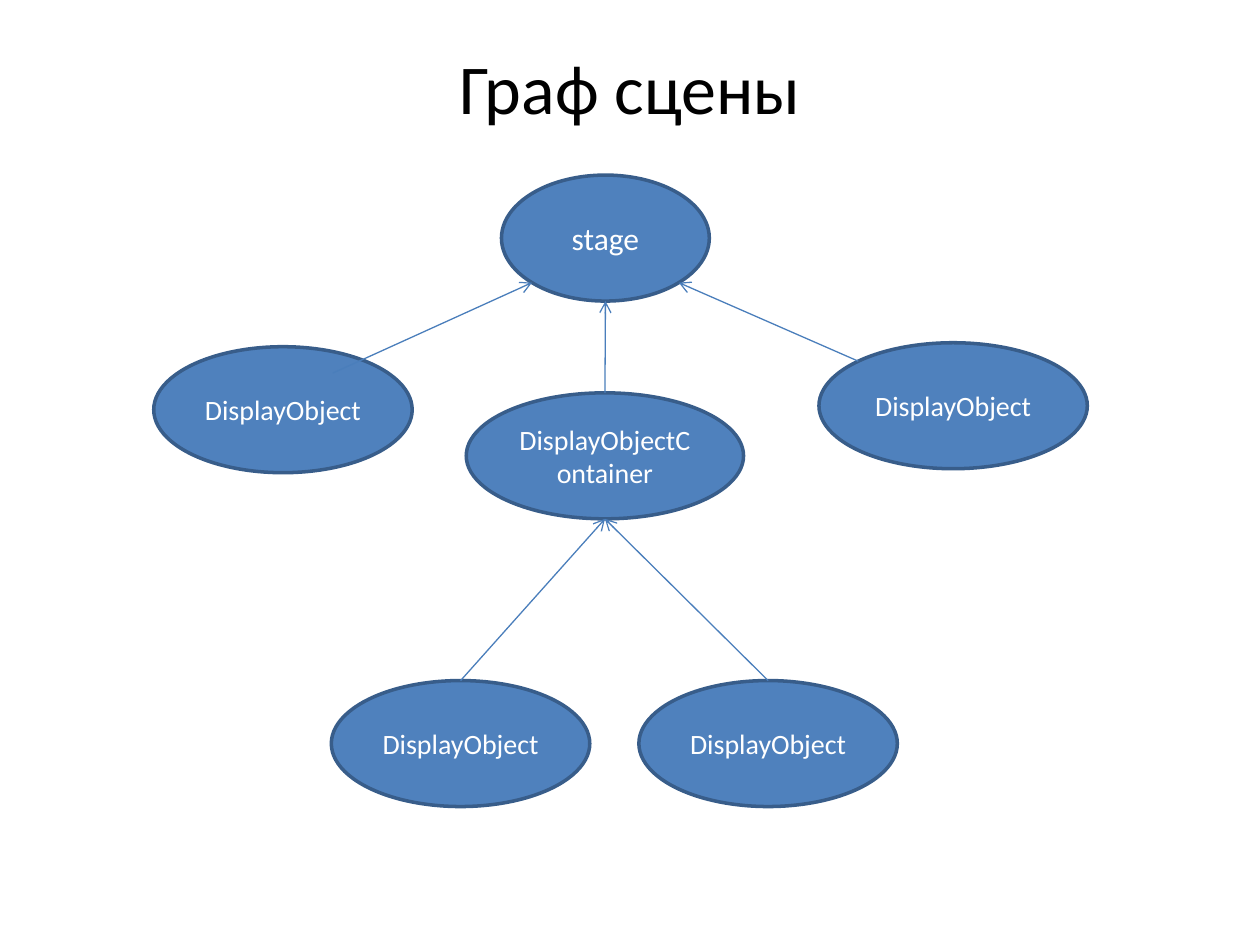
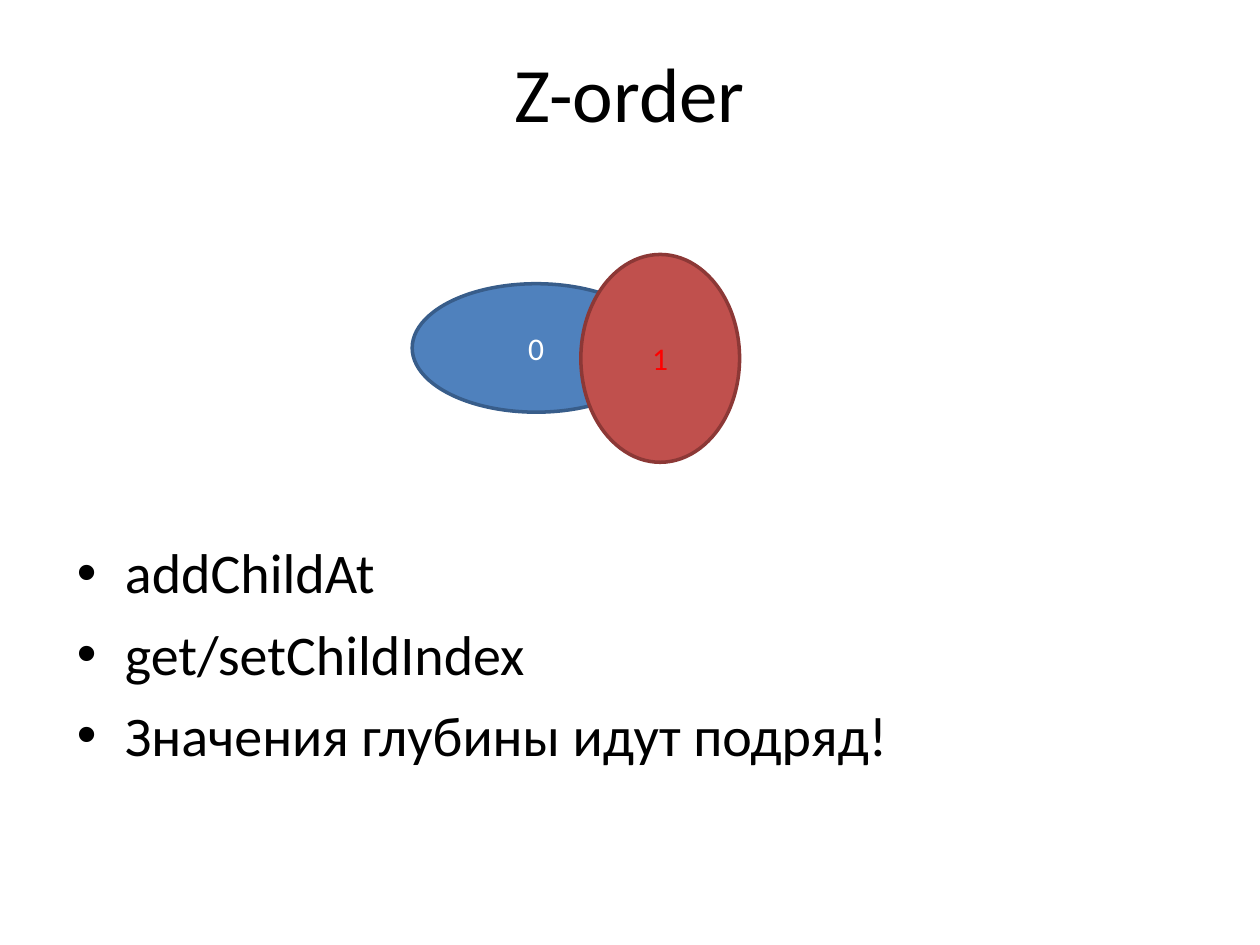
import math

import pptx
import pptx.dml.color
import pptx.enum.shapes
import pptx.enum.text
import pptx.oxml
import pptx.oxml.ns
import pptx.util

Cm = pptx.util.Cm
Pt = pptx.util.Pt

BLACK, WHITE = "000000", "FFFFFF"
BLUE, DARK_BLUE, ARROW_BLUE = "4F81BD", "385D8A", "4A7EBB"
RED, DARK_RED, BRIGHT_RED = "C0504D", "8C3836", "FF0000"
NODE_HEIGHT = 2.54
NODE_WIDTH = 5.21


def color(hex_value):
    return pptx.dml.color.RGBColor.from_string(hex_value)


def add_xml(parent, tag, **attributes):
    child = pptx.oxml.parse_xml(f"<a:{tag} {pptx.oxml.ns.nsdecls('a')}/>")
    for key, value in attributes.items():
        child.set(key, str(value))
    parent.append(child)


def rim(ellipse, degrees):
    """Point on an ellipse's outline, clockwise from its right end."""
    angle = math.radians(degrees)
    x = ellipse.left + ellipse.width / 2 * (1 + math.cos(angle))
    y = ellipse.top + ellipse.height / 2 * (1 + math.sin(angle))
    return round(x), round(y)


class Deck:
    font = "Calibri"
    title_left, title_top, title_width = 1.27, 0.76, 22.86

    def __init__(self):
        self.presentation = pptx.Presentation()
        self.presentation.slide_width = Cm(25.4)
        self.presentation.slide_height = Cm(19.05)
        self.slide = None

    def add_text(self, paragraph, text, size, text_color):
        run = paragraph.add_run()
        run.text = text
        run.font.name = self.font
        run.font.size = Pt(size)
        run.font.color.rgb = color(text_color)

    def add_centred(self, frame, text, size, text_color):
        frame.vertical_anchor = pptx.enum.text.MSO_ANCHOR.MIDDLE
        frame.paragraphs[0].alignment = pptx.enum.text.PP_ALIGN.CENTER
        self.add_text(frame.paragraphs[0], text, size, text_color)

    def start_slide(self, heading, size, height):
        layout = self.presentation.slide_layouts.get_by_name("Title Only")
        self.slide = self.presentation.slides.add_slide(layout)
        title = self.slide.shapes.title
        title.left, title.top = Cm(self.title_left), Cm(self.title_top)
        title.width, title.height = Cm(self.title_width), Cm(height)
        title.text_frame.auto_size = pptx.enum.text.MSO_AUTO_SIZE.NONE
        self.add_centred(title.text_frame, heading, size, BLACK)

    def ellipse(self, label, left, top, width=NODE_WIDTH, height=NODE_HEIGHT,
                size=16, fill=BLUE, outline=DARK_BLUE, text_color=WHITE):
        oval = self.slide.shapes.add_shape(
            pptx.enum.shapes.MSO_SHAPE.OVAL,
            Cm(left), Cm(top), Cm(width), Cm(height))
        oval.shadow.inherit = False
        oval.fill.solid()
        oval.fill.fore_color.rgb = color(fill)
        oval.line.color.rgb = color(outline)
        oval.line.width = Pt(2)
        oval.text_frame.word_wrap = True
        self.add_centred(oval.text_frame, label, size, text_color)
        return oval

    def arrow(self, start, end):
        connector = self.slide.shapes.add_connector(
            pptx.enum.shapes.MSO_CONNECTOR.STRAIGHT, *start, *end)
        connector.line.color.rgb = color(ARROW_BLUE)
        connector.line.width = Pt(0.75)
        properties = connector._element.spPr
        outline = properties.find(pptx.oxml.ns.qn("a:ln"))
        add_xml(outline, "tailEnd", type="arrow")
        add_xml(properties, "effectLst")
        return connector

    def bullets(self, items, left, top, width, height):
        box = self.slide.shapes.add_textbox(
            Cm(left), Cm(top), Cm(width), Cm(height))
        frame = box.text_frame
        frame.word_wrap = True
        for index, item in enumerate(items):
            paragraph = frame.add_paragraph() if index else frame.paragraphs[0]
            paragraph.space_before = Pt(8)
            properties = paragraph._p.get_or_add_pPr()
            properties.set("marL", str(Cm(0.97)))
            properties.set("indent", str(-Cm(0.97)))
            add_xml(properties, "buFont", typeface="Arial")
            add_xml(properties, "buChar", char="•")
            self.add_text(paragraph, item, 32, BLACK)


def scene_graph(deck):
    deck.start_slide("Граф сцены", size=40, height=1.96)
    stage = deck.ellipse("stage", 10.11, 3.53, width=4.19, size=18)
    deck.ellipse("DisplayObject", 3.1, 6.99)
    container = deck.ellipse("DisplayObjectContainer", 9.4, 7.92, width=5.59)
    right_child = deck.ellipse("DisplayObject", 16.51, 6.91, width=5.41)
    grandchildren = [deck.ellipse("DisplayObject", left, 13.72)
                     for left in (6.68, 12.88)]

    deck.arrow((Cm(6.71), Cm(7.52)), rim(stage, 135))
    deck.arrow(rim(right_child, 225), rim(stage, 45))
    for child, parent in [(container, stage),
                          *((node, container) for node in grandchildren)]:
        link = deck.arrow(rim(child, 270), rim(parent, 90))
        link.begin_connect(child, 0)


def z_order(deck):
    deck.start_slide("Z-order", size=44, height=2.16)
    deck.bullets(["addChildAt", "get/setChildIndex",
                  "Значения глубины идут подряд!"], 1.3, 10.72, 22.86, 7.39)
    deck.ellipse("0", 8.31, 5.72, 5, 2.59, size=18)
    deck.ellipse("1", 11.71, 5.13, 3.2, 4.19, size=18,
                 fill=RED, outline=DARK_RED, text_color=BRIGHT_RED)


def main():
    deck = Deck()
    scene_graph(deck)
    z_order(deck)
    deck.presentation.save("out.pptx")


if __name__ == "__main__":
    main()
